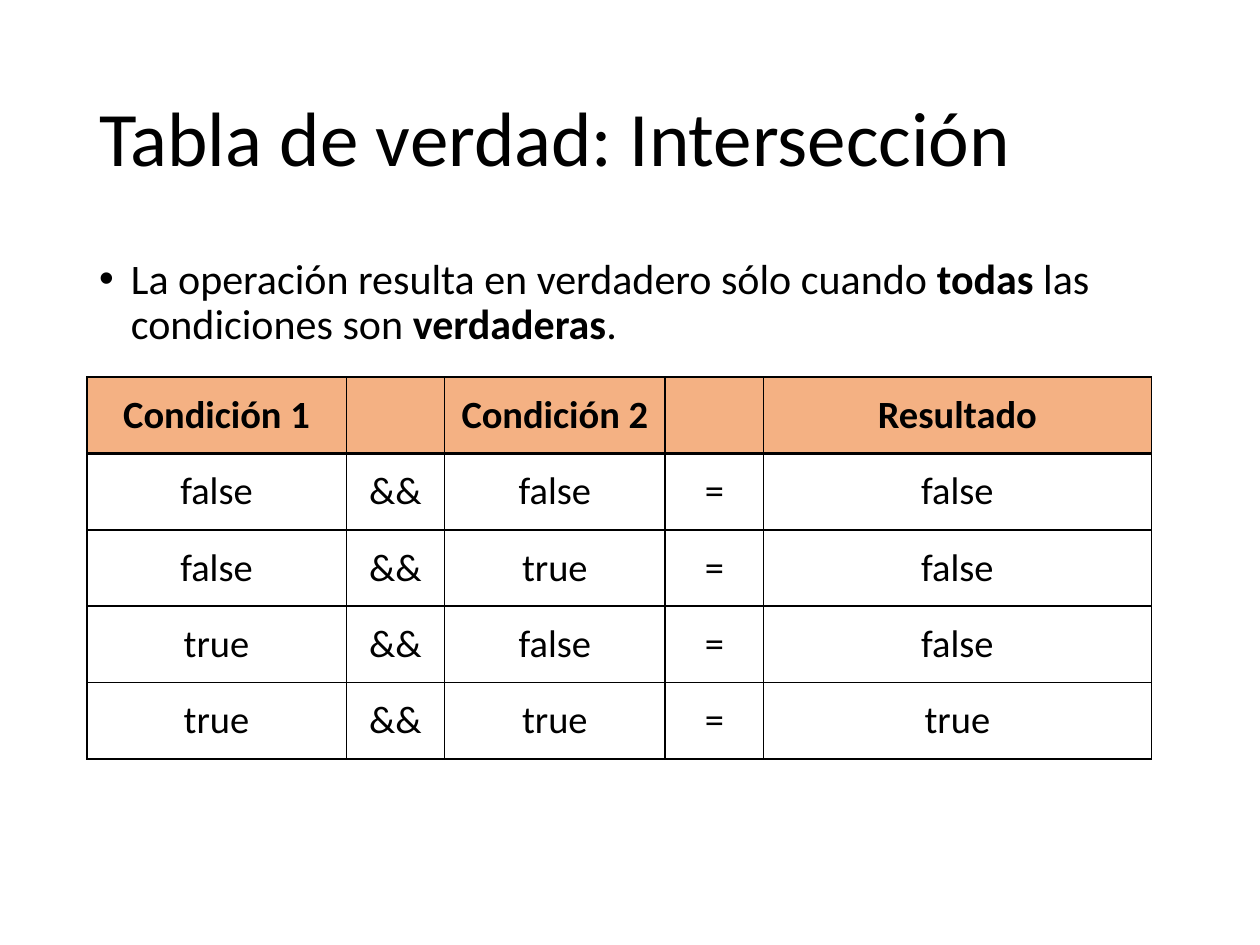
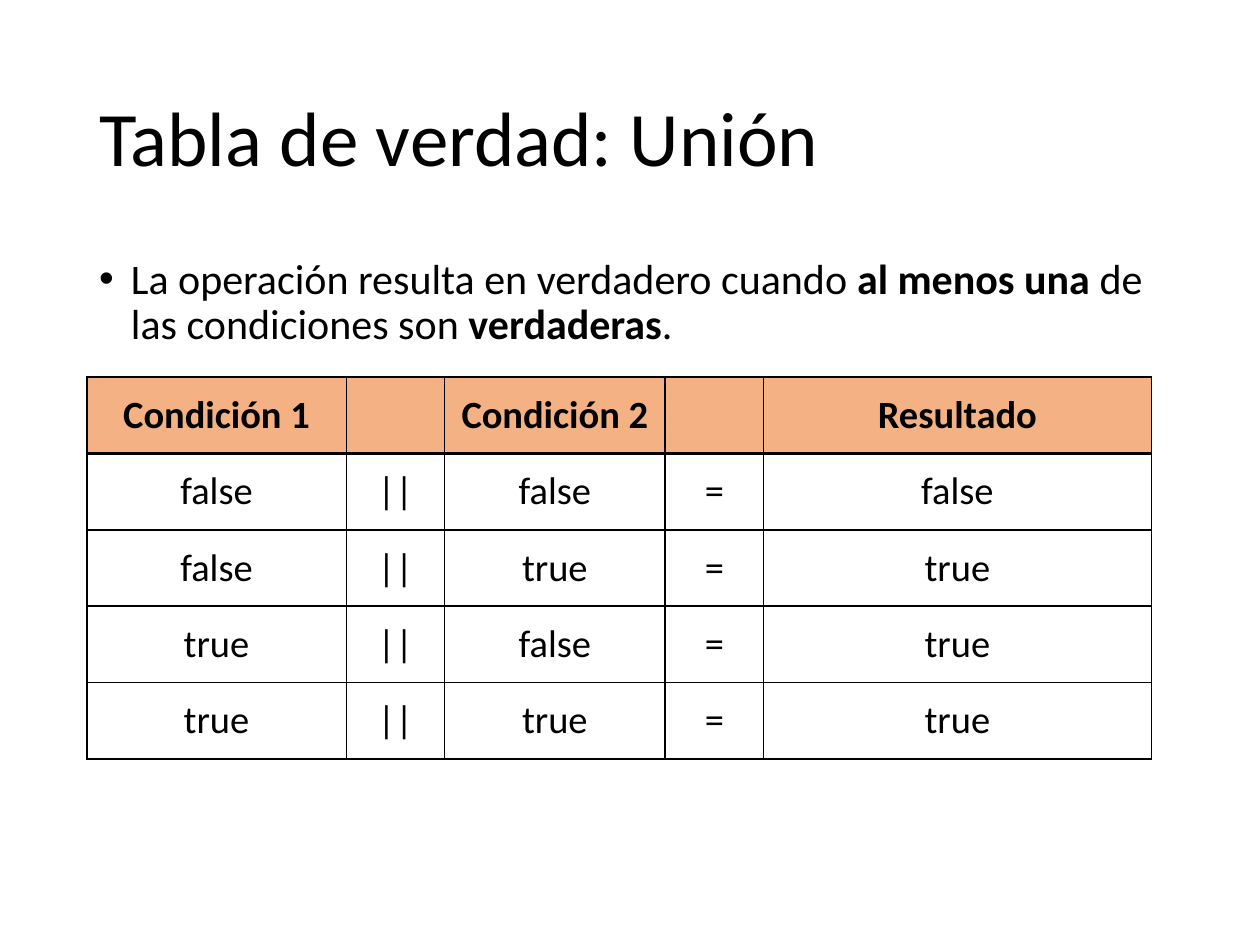
from itertools import product

from lxml.etree import SubElement
from pptx import Presentation
from pptx.dml.color import RGBColor
from pptx.enum.text import MSO_ANCHOR, PP_ALIGN
from pptx.oxml.ns import qn
from pptx.util import Cm, Pt


def color(value):
    return RGBColor.from_string(value)


class Deck:
    FONT = "Calibri"
    BLACK = "000000"
    WHITE = "FFFFFF"
    ORANGE = "F4B183"
    LEFT = Cm(1.75)
    WIDTH = Cm(21.9)
    COLUMNS = (5.23, 1.98, 4.45, 1.98, 7.82)
    ROW_HEIGHT = Cm(1.54)

    def __init__(self):
        self.prs = Presentation()
        self.prs.slide_width = Cm(25.4)
        self.prs.slide_height = Cm(19.05)
        self.s = None

    def add_slide(self):
        self.s = self.prs.slides.add_slide(self.prs.slide_layouts[6])
        self.s.background.fill.solid()
        self.s.background.fill.fore_color.rgb = color(self.WHITE)

    def style(self, p, size, bold=False):
        p.font.name = self.FONT
        p.font.size = Pt(size)
        p.font.bold = bold
        p.font.color.rgb = color(self.BLACK)

    def text_box(self, top, height, size, anchor):
        tf = self.s.shapes.add_textbox(self.LEFT, top, self.WIDTH, height).text_frame
        tf.word_wrap = True
        tf.vertical_anchor = anchor
        p = tf.paragraphs[0]
        p.line_spacing = 0.9
        self.style(p, size)
        return p

    def title(self, text):
        p = self.text_box(Cm(1.02), Cm(3.68), 44, MSO_ANCHOR.MIDDLE)
        p.add_run().text = text

    def bullet(self, parts):
        p = self.text_box(Cm(5.08), Cm(2.31), 24, MSO_ANCHOR.TOP)
        p.space_before = Pt(10)
        pPr = p._p.get_or_add_pPr()
        pPr.set("marL", str(Cm(0.64)))
        pPr.set("indent", str(-Cm(0.64)))
        font = pPr.makeelement(qn("a:buFont"), {"typeface": "Arial"})
        char = pPr.makeelement(qn("a:buChar"), {"char": "•"})
        defaults = pPr.find(qn("a:defRPr"))
        defaults.addprevious(font)
        defaults.addprevious(char)
        for i, text in enumerate(parts):
            r = p.add_run()
            r.text = text
            if i % 2:
                r.font.bold = True

    def borders(self, cell, widths):
        tcPr = cell._tc.get_or_add_tcPr()
        for side, width in zip("LRTB", widths):
            line = SubElement(tcPr, qn(f"a:ln{side}"), w=str(Pt(width)))
            fill = SubElement(line, qn("a:solidFill"))
            SubElement(fill, qn("a:srgbClr"), val=self.BLACK)

    def cell(self, cell, text, row):
        header = row == 0
        self.borders(cell, (1, 1, 2 if row == 1 else 1, 2 if header else 1))
        cell.fill.solid()
        cell.fill.fore_color.rgb = color(self.ORANGE if header else self.WHITE)
        cell.vertical_anchor = MSO_ANCHOR.MIDDLE
        cell.margin_left = cell.margin_right = Cm(0.3)
        cell.margin_top = cell.margin_bottom = Cm(0.15)
        p = cell.text_frame.paragraphs[0]
        p.alignment = PP_ALIGN.CENTER
        self.style(p, 22, header)
        if text:
            p.add_run().text = text

    def table(self, rows):
        frame = self.s.shapes.add_table(
            len(rows), len(self.COLUMNS), self.LEFT, Cm(7.6),
            Cm(sum(self.COLUMNS)), self.ROW_HEIGHT * len(rows))
        table = frame.table
        table.first_row = table.horz_banding = False
        for column, width in zip(table.columns, self.COLUMNS):
            column.width = Cm(width)
        for i, values in enumerate(rows):
            table.rows[i].height = self.ROW_HEIGHT
            for j, text in enumerate(values):
                self.cell(table.cell(i, j), text, i)


def truth_table(symbol, combine):
    rows = [("Condición 1", "", "Condición 2", "", "Resultado")]
    for pair in product((False, True), repeat=2):
        first, second, result = (str(v).lower() for v in (*pair, combine(pair)))
        rows.append((first, symbol, second, "=", result))
    return rows


OPERATIONS = (
    ("Intersección", "&&", all,
     ("La operación resulta en verdadero sólo cuando ", "todas",
      " las condiciones son ", "verdaderas", ".")),
    ("Unión", "||", any,
     ("La operación resulta en verdadero cuando ", "al menos una",
      " de las condiciones son ", "verdaderas", ".")),
)


def main():
    deck = Deck()
    for name, symbol, combine, rule in OPERATIONS:
        deck.add_slide()
        deck.title(f"Tabla de verdad: {name}")
        deck.table(truth_table(symbol, combine))
        deck.bullet(rule)
    deck.prs.save("out.pptx")


if __name__ == "__main__":
    main()
